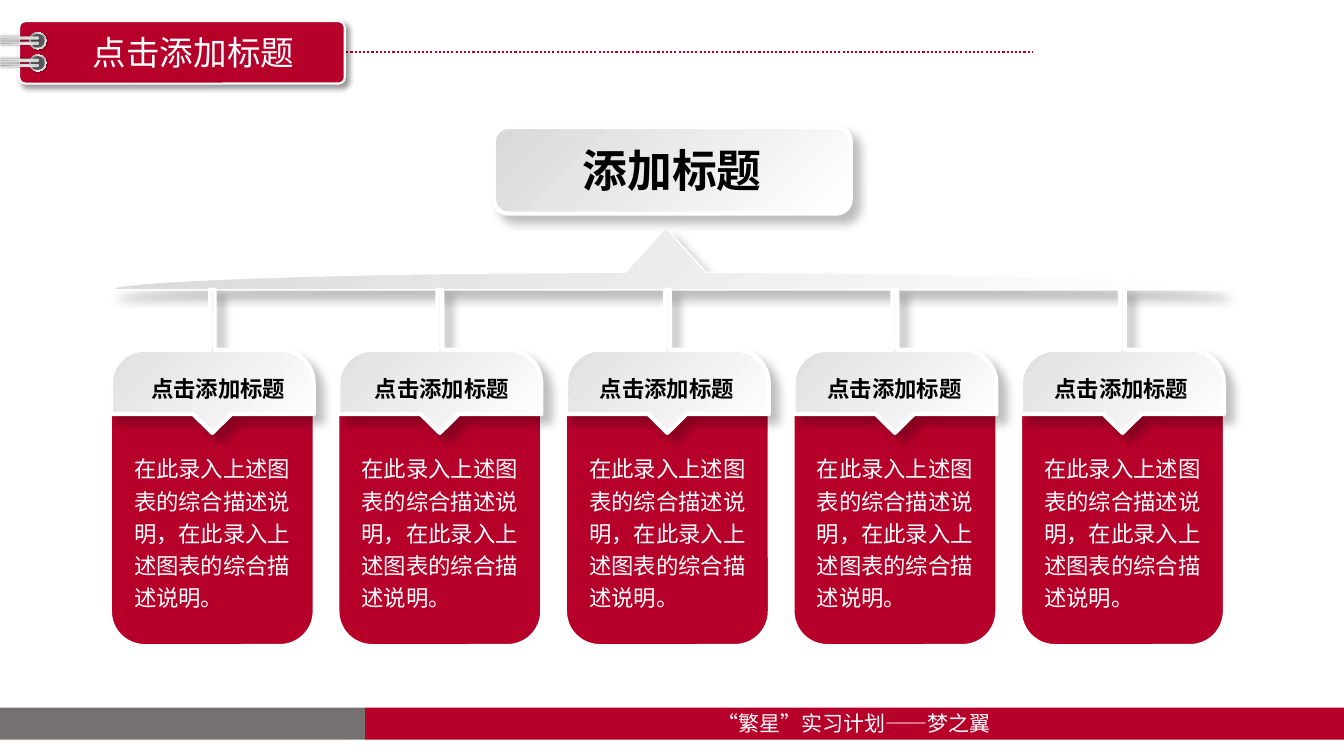
import lxml.etree
import pptx
import pptx.dml.color
import pptx.enum.dml
import pptx.enum.shapes
import pptx.enum.text
import pptx.oxml.ns
import pptx.util

Pt = pptx.util.Pt
RGBColor = pptx.dml.color.RGBColor
SHAPE = pptx.enum.shapes.MSO_SHAPE
ALIGN = pptx.enum.text.PP_ALIGN
ANCHOR = pptx.enum.text.MSO_ANCHOR
qn = pptx.oxml.ns.qn

# Content
PAGE_TITLE = "点击添加标题"
TOPIC = "添加标题"
FOOTER = "“繁星”实习计划——梦之翼"
DETAIL = "在此录入上述图表的综合描述说明，在此录入上述图表的综合描述说明。"
# Heading text and the left edge of its box
CARDS = [
    ("点击添加标题", 100.1),
    ("点击添加标题", 259.9),
    ("点击添加标题", 420.5),
    ("点击添加标题", 583.2),
    ("点击添加标题", 745.2),
]

# Style
FONT = "Noto Sans CJK SC"
RED = RGBColor(0xB6, 0x00, 0x2A)
GREY = RGBColor(0x76, 0x71, 0x71)
HOLE = RGBColor(0x59, 0x59, 0x59)
SILVER = RGBColor(0xD9, 0xD9, 0xD9)
SHINE = RGBColor(0xF2, 0xF2, 0xF2)
STEEL = RGBColor(0xA6, 0xA6, 0xA6)
IRON = RGBColor(0x80, 0x80, 0x80)
WHITE = RGBColor(0xFF, 0xFF, 0xFF)
BLACK = RGBColor(0x00, 0x00, 0x00)
PANEL_FILL = [(0, SILVER), (100, WHITE)]
RING_FILL = [(0, WHITE), (17, STEEL), (35, SHINE), (55, STEEL), (75, SHINE), (100, STEEL)]
ROD_FILL = [(0, IRON), (23, STEEL), (52, SILVER), (74, WHITE), (100, STEEL)]
PANEL_SHADOW = (25, 7, 8, 45)  # opacity, blur, distance, angle

# Geometry
CARD_LEFT, CARD_TOP, CARD_WIDTH, CARD_HEIGHT, CARD_PITCH = 79.2, 249.8, 144.9, 211, 162.54
CORNER = 24
BEAM_CENTER, BEAM_BOTTOM = 475.5, 207
HEAD_BOTTOM, HEAD_TIP = 295.8, 309.2

deck = pptx.Presentation()
deck.slide_width, deck.slide_height = Pt(960), Pt(540)
page = deck.slides.add_slide(deck.slide_layouts[5])


def style(shape, fill, line=None, weight=1, shadow=None, angle=45):
    """Apply a solid or gradient fill, an outline and a shadow."""
    shape.shadow.inherit = False
    properties = shape.element.spPr
    if isinstance(fill, list):
        gradient = lxml.etree.Element(qn("a:gradFill"), rotWithShape="1")
        stops = lxml.etree.SubElement(gradient, qn("a:gsLst"))
        for position, color in fill:
            stop = lxml.etree.SubElement(stops, qn("a:gs"), pos=str(position * 1000))
            lxml.etree.SubElement(stop, qn("a:srgbClr"), val=str(color))
        lxml.etree.SubElement(gradient, qn("a:lin"), ang=str(angle * 60000), scaled="0")
        properties.insert(2, gradient)
    else:
        shape.fill.solid()
        shape.fill.fore_color.rgb = fill
    if line is None:
        shape.line.fill.background()
    else:
        shape.line.color.rgb = line
        shape.line.width = Pt(weight)
    if shadow:
        opacity, blur, distance, direction = shadow
        outer = lxml.etree.SubElement(
            properties.find(qn("a:effectLst")), qn("a:outerShdw"),
            blurRad=str(Pt(blur)), dist=str(Pt(distance)),
            dir=str(direction * 60000), algn="tl", rotWithShape="0")
        color = lxml.etree.SubElement(outer, qn("a:srgbClr"), val="000000")
        lxml.etree.SubElement(color, qn("a:alpha"), val=str(opacity * 1000))


def add_block(kind, left, top, width, height, fill, corner=None, **look):
    shape = page.shapes.add_shape(kind, Pt(left), Pt(top), Pt(width), Pt(height))
    if corner is not None:
        shape.adjustments[0] = corner
    style(shape, fill, **look)


def add_outline(points, **look):
    points = [(Pt(x), Pt(y)) for x, y in points]
    builder = page.shapes.build_freeform(*points[0], scale=1.0)
    builder.add_line_segments(points[1:], close=True)
    style(builder.convert_to_shape(), PANEL_FILL, shadow=PANEL_SHADOW, **look)


def curve(start, first, second, end, steps=12):
    """Points along a cubic curve, both ends included."""
    points = []
    for step in range(steps + 1):
        t = step / steps
        shares = ((1 - t) ** 3, 3 * t * (1 - t) ** 2, 3 * t * t * (1 - t), t ** 3)
        points.append(tuple(
            sum(share * point[axis] for share, point in zip(shares, (start, first, second, end)))
            for axis in (0, 1)))
    return points


def mirrored(half, center):
    """Complete a right-hand outline with its left-hand reflection."""
    right = [(center + x, y) for x, y in half]
    left = [(center - x, y) for x, y in reversed(half)]
    return right + left


def write(text, left, top, width, height, size, color=BLACK, bold=False, wrap=True,
          align=ALIGN.CENTER, anchor=ANCHOR.MIDDLE, spacing=1.0, box=None):
    if box is None:
        box = page.shapes.add_textbox(0, 0, 0, 0)
    box.left, box.top, box.width, box.height = Pt(left), Pt(top), Pt(width), Pt(height)
    frame = box.text_frame
    frame.word_wrap = wrap
    frame.auto_size = pptx.enum.text.MSO_AUTO_SIZE.NONE
    frame.vertical_anchor = anchor
    para = frame.paragraphs[0]
    para.alignment = align
    para.line_spacing = spacing
    para.space_before = Pt(0)
    span = para.add_run()
    span.text = text
    span.font.name, span.font.size, span.font.bold = FONT, Pt(size), bold
    span.font.color.rgb = color
    for run_format in box.element.iter(qn("a:rPr")):
        lxml.etree.SubElement(run_format, qn("a:ea"), typeface=FONT)


# Footer
add_block(SHAPE.RECTANGLE, 260.6, 505.4, 699.4, 23, RED)
write(FOOTER, 503.3, 504, 213.8, 25.2, 15, color=WHITE, wrap=False)
add_block(SHAPE.RECTANGLE, 0, 505.4, 260.6, 23, GREY)

# Title tab with dotted rule
rule = page.shapes.add_connector(
    pptx.enum.shapes.MSO_CONNECTOR.STRAIGHT, Pt(238.3), Pt(37.4), Pt(737.3), Pt(37.4))
rule.line.color.rgb = RED
rule.line.width = Pt(1.5)
rule.line.dash_style = pptx.enum.dml.MSO_LINE.ROUND_DOT
lxml.etree.SubElement(rule.element.spPr, qn("a:effectLst"))
add_block(SHAPE.ROUNDED_RECTANGLE, 13.7, 15.1, 232.6, 44.6, RED, corner=0.1,
          line=WHITE, weight=1.5, shadow=(40, 4, 3, 45))

# Binder rings
for ring_top in (38.9, 23):
    add_block(SHAPE.OVAL, 20.9, ring_top, 12.2, 12.2, RING_FILL, shadow=(40, 1, 1, 45))
    add_block(SHAPE.OVAL, 22, ring_top + 1.1, 10, 10, HOLE)
    for rod_offset in (7.2, 3.5):
        add_block(SHAPE.ROUNDED_RECTANGLE, 0, ring_top + rod_offset, 27.4, 1.4, ROD_FILL,
                  corner=0.5, angle=0, line=SILVER, shadow=(40, 2, 0, 0))

# Beam
beam_half = [(0, 162.7), (28.8, 194.4)]
beam_half += curve((136.8, 195.1), (265, 196.6), (362.2, 200.2), (390.2, 204.5))
beam_half.append((397.8, BEAM_BOTTOM))
add_outline(mirrored(beam_half, BEAM_CENTER), line=WHITE)

# Topic panel
add_block(SHAPE.ROUNDED_RECTANGLE, 352.8, 90.7, 254.9, 61.9, PANEL_FILL,
          line=WHITE, weight=3, shadow=PANEL_SHADOW)

# Cards hanging from the beam
edge = CARD_WIDTH / 2
bend = CORNER * 0.45
head_half = [(1.7, BEAM_BOTTOM), (1.7, CARD_TOP)]
head_half += curve((edge - CORNER, CARD_TOP), (edge - bend, CARD_TOP),
                   (edge, CARD_TOP + bend), (edge, CARD_TOP + CORNER))
head_half += [(edge, HEAD_BOTTOM), (13.6, HEAD_BOTTOM), (0, HEAD_TIP)]
for index, (heading, heading_left) in enumerate(CARDS):
    left = CARD_LEFT + index * CARD_PITCH
    add_block(SHAPE.ROUNDED_RECTANGLE, left, CARD_TOP, CARD_WIDTH, CARD_HEIGHT, RED,
              line=WHITE, weight=1.5)
    add_outline(mirrored(head_half, left + edge), line=WHITE, weight=3)
    write(heading, heading_left, 264.2, 111.6, 26.6, 16, bold=True)
    write(DETAIL, left + 9.5, 324.7, 127, 108.7, 16, color=WHITE,
          align=ALIGN.LEFT, spacing=1.2)

# Titles, in front of their panels
write(TOPIC, 408.2, 97.9, 144, 46.1, 32, bold=True, wrap=False)
title = page.shapes.title
title.element.getparent().append(title.element)
write(PAGE_TITLE, 58.3, 19.4, 159.8, 36, 24, color=WHITE, wrap=False, box=title)

deck.save("out.pptx")
